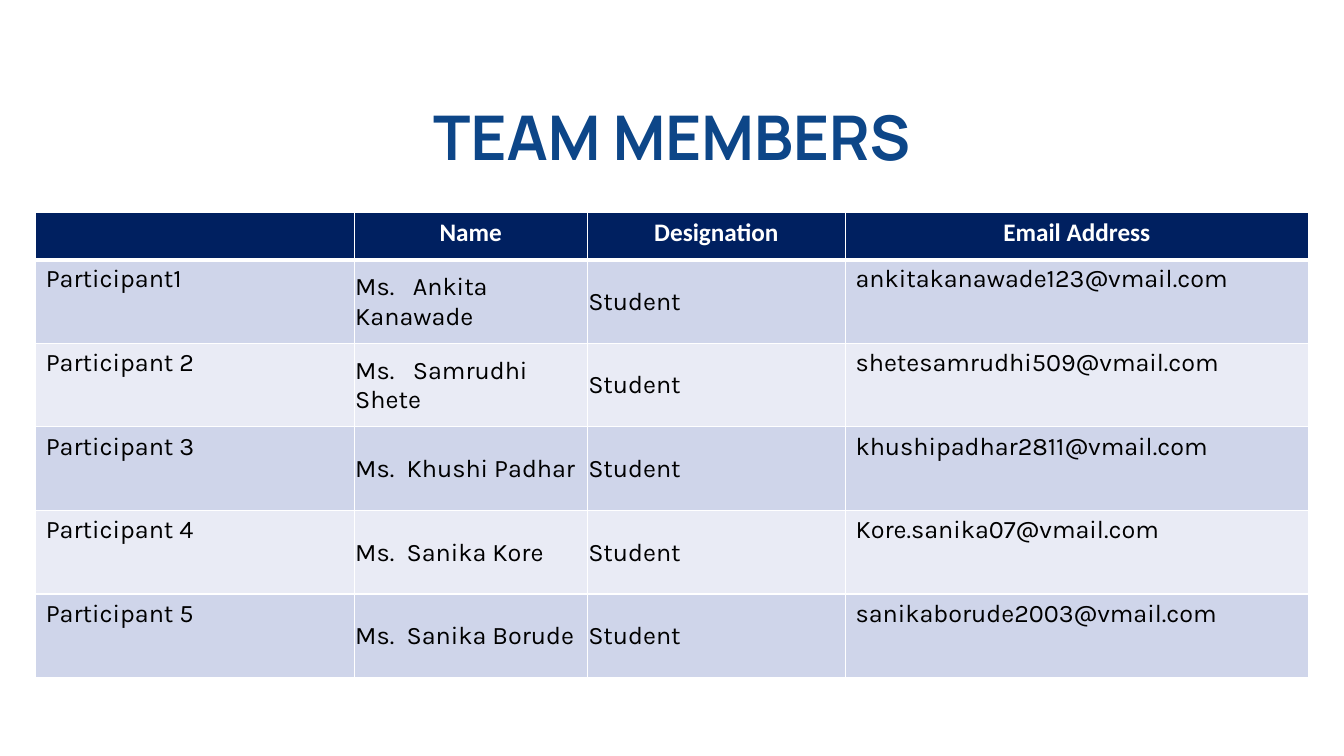
"""Build the team members slide."""
import lxml.etree
import pptx
import pptx.dml.color
import pptx.enum.text
import pptx.oxml.ns
import pptx.util

Pt = pptx.util.Pt
Color = pptx.dml.color.RGBColor
Align = pptx.enum.text.PP_ALIGN
Anchor = pptx.enum.text.MSO_ANCHOR

NAVY = Color(0x00, 0x20, 0x60)
BLUE = Color(0x0D, 0x46, 0x88)
BANDS = (Color(0xCF, 0xD5, 0xEA), Color(0xE9, 0xEB, 0xF5))
WHITE = Color(0xFF, 0xFF, 0xFF)
BLACK = Color(0, 0, 0)

SPACE = 4.5
WIDTHS = (227.5, 166.5, 184.5, 330.5)
HEAD_HIGH = 33.5
ROW_HIGH = 59.7
HEADS = ("", "Name", "Designation", "Email Address")
TEAM = (
    ("Participant1", "Ankita Kanawade", 3, "ankitakanawade123@vmail.com"),
    ("Participant 2", "Samrudhi Shete", 3, "shetesamrudhi509@vmail.com"),
    ("Participant 3", "Khushi Padhar", 2, "khushipadhar2811@vmail.com"),
    ("Participant 4", "Sanika Kore", 2, "Kore.sanika07@vmail.com"),
    ("Participant 5", "Sanika Borude", 2, "sanikaborude2003@vmail.com"),
)


def add_run(para, text, face, size, color, bold=False):
    run = para.add_run()
    run.text = text
    run.font.name = face
    run.font.size = Pt(size)
    run.font.bold = bold
    run.font.color.rgb = color
    return run


def add_title(slide, text):
    title = slide.shapes.title
    title.left, title.top = Pt(84), Pt(73)
    title.width, title.height = Pt(792), Pt(99)
    frame = title.text_frame
    frame.word_wrap = True
    frame.auto_size = pptx.enum.text.MSO_AUTO_SIZE.NONE
    frame.vertical_anchor = Anchor.TOP
    para = frame.paragraphs[0]
    para.alignment = Align.CENTER
    para.line_spacing = 0.9
    add_run(para, text, "Manrope", 44, BLUE, True)


def add_edge(cell, side, width):
    qn = pptx.oxml.ns.qn
    props = cell._tc.get_or_add_tcPr()
    line = lxml.etree.SubElement(props, qn("a:ln" + side), w=str(Pt(width)))
    fill = lxml.etree.SubElement(line, qn("a:solidFill"))
    lxml.etree.SubElement(fill, qn("a:srgbClr"), val=str(WHITE))


def style_cell(cell, fill, top=1, base=1):
    for side, width in (("L", 1), ("R", 1), ("T", top), ("B", base)):
        add_edge(cell, side, width)
    cell.fill.solid()
    cell.fill.fore_color.rgb = fill


def fill_head(cell, text):
    style_cell(cell, NAVY, base=3)
    para = cell.text_frame.paragraphs[0]
    para.alignment = Align.CENTER
    if text:
        add_run(para, text, "Calibri", 18, WHITE, True)


def fill_cell(cell, texts, row, tight=False, gap=1):
    style_cell(cell, BANDS[(row - 1) % 2], top=3 if row == 1 else 1)
    if tight:
        cell.vertical_anchor = Anchor.MIDDLE
        cell.margin_left = cell.margin_right = cell.margin_top = Pt(0.75)
        cell.margin_bottom = Pt(0)
    para = cell.text_frame.paragraphs[0]
    for text in texts:
        run = add_run(para, text, "Karla", 18, BLACK)
        if text == " ":
            run.font._element.set("spc", str(int((gap - 1) * SPACE * 100)))


def add_team(slide):
    high = HEAD_HIGH + ROW_HIGH * len(TEAM)
    frame = slide.shapes.add_table(
        len(TEAM) + 1, len(HEADS), Pt(25.5), Pt(152), Pt(sum(WIDTHS)), Pt(high))
    table = frame.table
    for col, width in zip(table.columns, WIDTHS):
        col.width = Pt(width)
    for num, row in enumerate(table.rows):
        row.height = Pt(ROW_HIGH if num else HEAD_HIGH)
    for col, text in enumerate(HEADS):
        fill_head(table.cell(0, col), text)
    for row, (label, name, gap, mail) in enumerate(TEAM, 1):
        fill_cell(table.cell(row, 0), [label], row)
        fill_cell(table.cell(row, 1), ["Ms.", " ", name], row, True, gap)
        fill_cell(table.cell(row, 2), ["Student"], row, True)
        fill_cell(table.cell(row, 3), [mail], row)


def main():
    deck = pptx.Presentation()
    deck.slide_width, deck.slide_height = Pt(960), Pt(540)
    slide = deck.slides.add_slide(deck.slide_layouts[5])
    add_title(slide, "TEAM MEMBERS")
    add_team(slide)
    deck.save("out.pptx")


if __name__ == "__main__":
    main()
